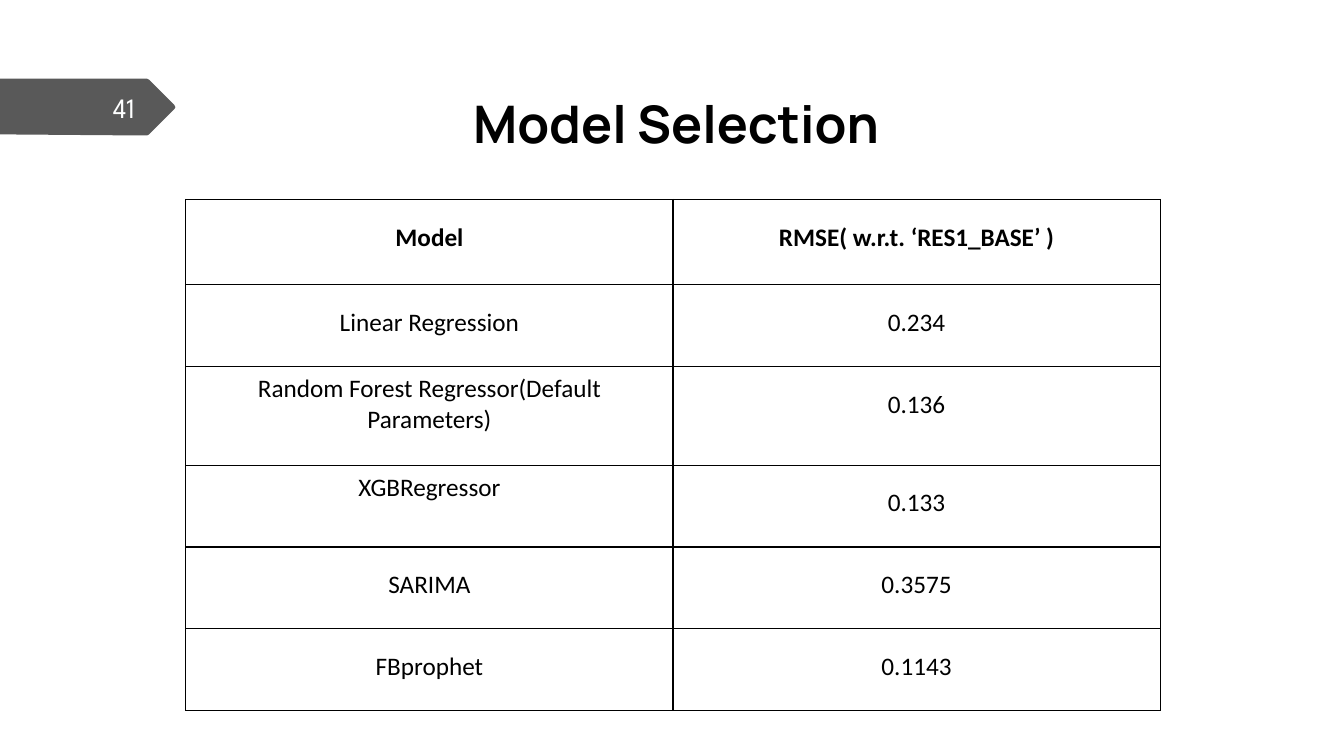
from dataclasses import dataclass

from lxml.etree import SubElement
from pptx import Presentation
from pptx.dml.color import RGBColor
from pptx.enum.text import MSO_ANCHOR, MSO_AUTO_SIZE, PP_ALIGN
from pptx.oxml.ns import qn
from pptx.slide import Slide
from pptx.table import _Cell
from pptx.text.text import TextFrame
from pptx.util import Pt

PX = 9525  # EMU per px, 96 px to the inch
COLOURS = {"ink": "000000", "tag": "595959", "number": "FEFFFF", "paper": "FFFFFF"}

# Outline of the page tag, pointing right
TAG_OUTLINE = [(0, 75), (140, 75), (142, 76), (166, 100), (167, 102),
               (166, 104), (142, 128), (140, 129), (131, 129), (0, 128)]

TABLE_LEFT, TABLE_TOP = 177, 190
COLUMN_WIDTH = 464
CELL_MARGIN = 7


@dataclass
class TextStyle:
    font: str
    size: int
    colour: str
    bold: bool = False
    align: PP_ALIGN = PP_ALIGN.CENTER
    spacing: float = 1.0


@dataclass
class ModelRow:
    model: str
    rmse: str
    height: int = 78
    model_spacing: float = 1.5
    bold: bool = False


MODEL_ROWS = [
    ModelRow("Model", "RMSE( w.r.t. ‘RES1_BASE’ )", height=81, bold=True),
    ModelRow("Linear Regression", "0.234"),
    ModelRow("Random Forest Regressor(Default Parameters)", "0.136",
             height=94, model_spacing=1.0),
    ModelRow("XGBRegressor", "0.133", model_spacing=1.0),
    ModelRow("SARIMA", "0.3575"),
    ModelRow("FBprophet", "0.1143"),
]


def rgb(name: str) -> RGBColor:
    return RGBColor.from_string(COLOURS[name])


def write(frame: TextFrame, text: str, style: TextStyle) -> None:
    frame.text = text
    paragraph = frame.paragraphs[0]
    paragraph.alignment = style.align
    paragraph.line_spacing = style.spacing
    font = paragraph.runs[0].font
    font.name, font.size, font.bold = style.font, Pt(style.size), style.bold
    font.color.rgb = rgb(style.colour)


def add_page_tag(slide: Slide) -> None:
    builder = slide.shapes.build_freeform(*TAG_OUTLINE[0], scale=PX)
    builder.add_line_segments(TAG_OUTLINE[1:], close=True)
    tag = builder.convert_to_shape()
    tag.shadow.inherit = False
    tag.fill.solid()
    tag.fill.fore_color.rgb = rgb("tag")
    tag.line.fill.background()

    page_number = slide.shapes.add_textbox(56 * PX, 83 * PX, 82 * PX, 38 * PX)
    frame = page_number.text_frame
    frame.word_wrap = True
    frame.vertical_anchor = MSO_ANCHOR.MIDDLE
    write(frame, "41", TextStyle("League Spartan", 20, "number", align=PP_ALIGN.RIGHT))


def add_title(slide: Slide) -> None:
    title = slide.shapes.title
    title.left, title.top = 441 * PX, 83 * PX
    title.width, title.height = 421 * PX, 81 * PX
    frame = title.text_frame
    frame.auto_size = MSO_AUTO_SIZE.NONE
    frame.vertical_anchor = MSO_ANCHOR.TOP
    write(frame, "Model Selection",
          TextStyle("Manrope", 37, "ink", bold=True, align=PP_ALIGN.LEFT))


def add_borders(cell: _Cell) -> None:
    properties = cell._tc.get_or_add_tcPr()
    for position, side in enumerate(("a:lnL", "a:lnR", "a:lnT", "a:lnB")):
        border = SubElement(properties, qn(side), w=str(Pt(1)))
        fill = SubElement(border, qn("a:solidFill"))
        SubElement(fill, qn("a:srgbClr"), val=COLOURS["ink"])
        properties.insert(position, border)


def add_model_table(slide: Slide) -> None:
    table = slide.shapes.add_table(
        len(MODEL_ROWS), 2, TABLE_LEFT * PX, TABLE_TOP * PX, 2 * COLUMN_WIDTH * PX,
        sum(row.height for row in MODEL_ROWS) * PX).table
    table.first_row = table.horz_banding = False
    for column in table.columns:
        column.width = COLUMN_WIDTH * PX
    for index, row in enumerate(MODEL_ROWS):
        table.rows[index].height = row.height * PX
        entries = [(row.model, row.model_spacing), (row.rmse, 1.5)]
        for cell, (text, spacing) in zip(table.rows[index].cells, entries):
            cell.margin_left = cell.margin_right = CELL_MARGIN * PX
            cell.margin_top = cell.margin_bottom = CELL_MARGIN * PX
            cell.fill.background()
            add_borders(cell)
            write(cell.text_frame, text,
                  TextStyle("Calibri", 18, "ink", bold=row.bold, spacing=spacing))


def main() -> None:
    presentation = Presentation()
    presentation.slide_width, presentation.slide_height = 1280 * PX, 720 * PX
    slide = presentation.slides.add_slide(presentation.slide_layouts[5])
    slide.background.fill.solid()
    slide.background.fill.fore_color.rgb = rgb("paper")
    add_page_tag(slide)
    add_title(slide)
    add_model_table(slide)
    presentation.save("out.pptx")


if __name__ == "__main__":
    main()
